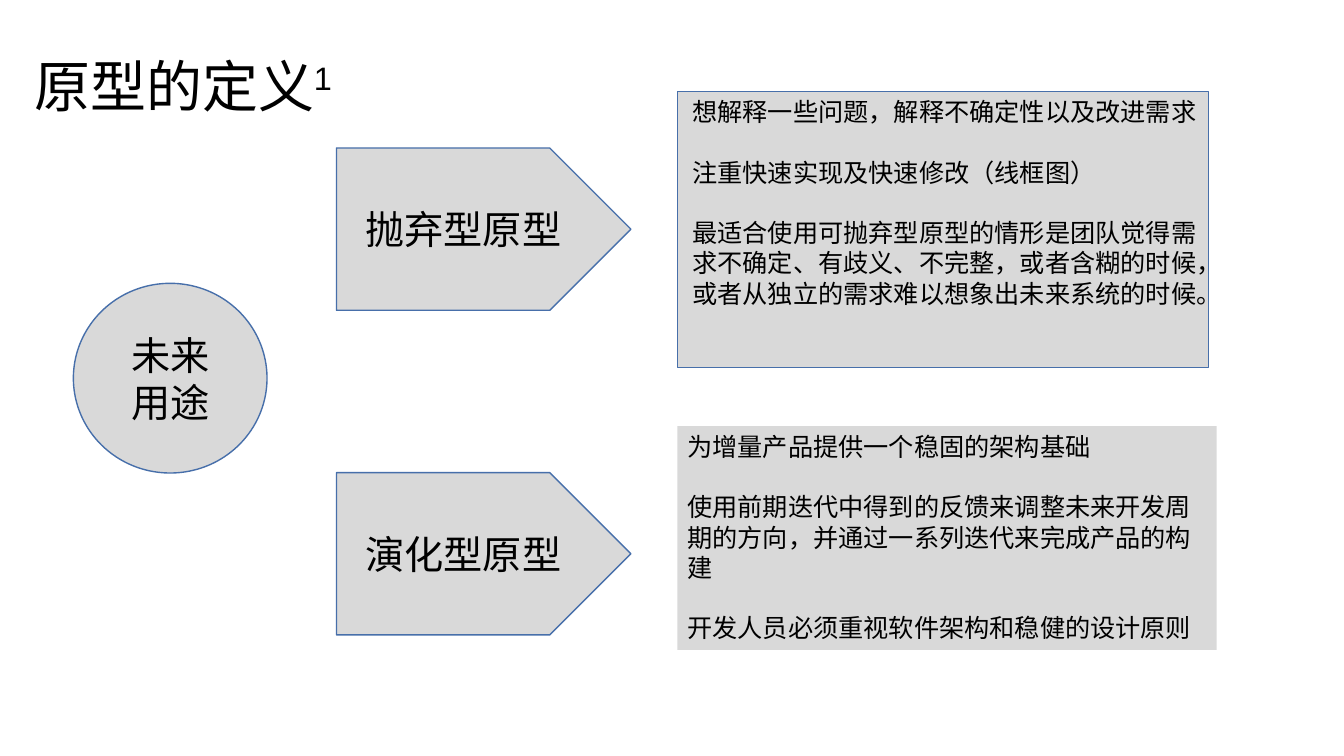
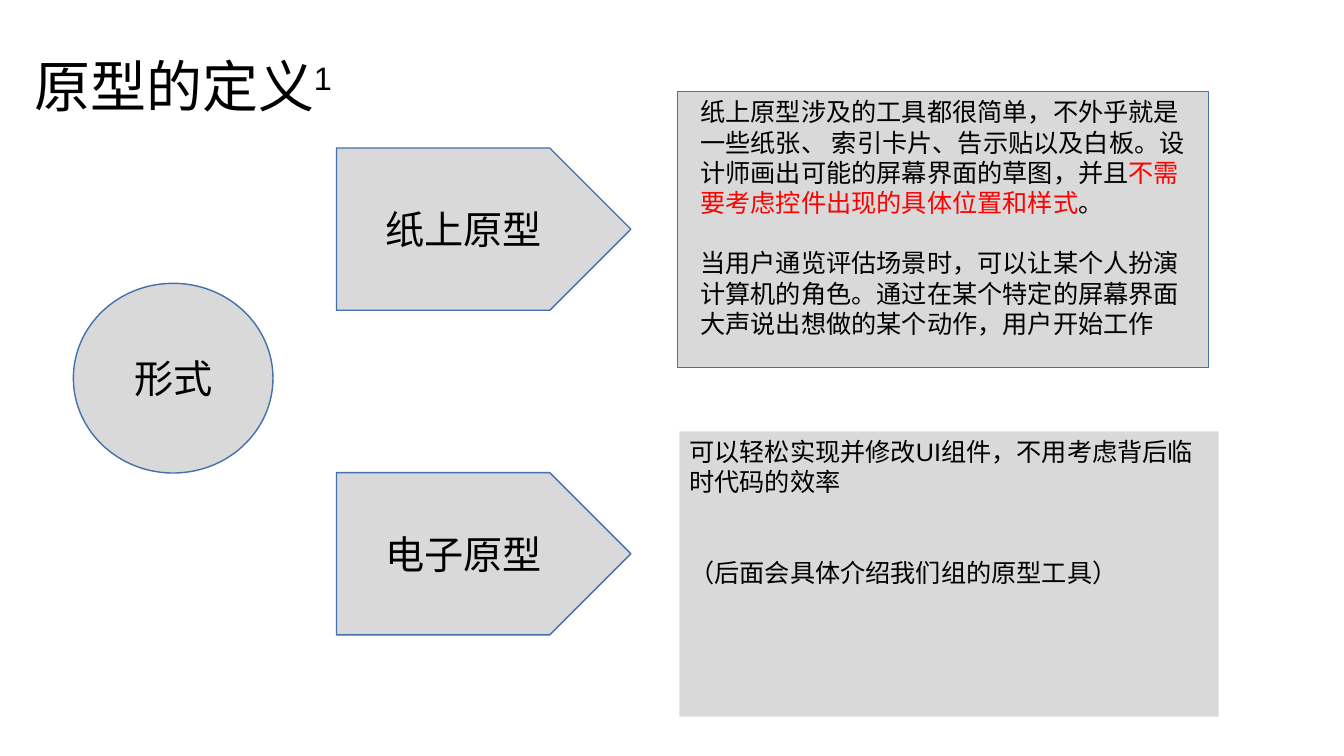
from pptx import Presentation
from pptx.dml.color import RGBColor
from pptx.enum.lang import MSO_LANGUAGE_ID
from pptx.enum.shapes import MSO_SHAPE
from pptx.enum.text import MSO_ANCHOR, PP_ALIGN
from pptx.util import Cm, Pt

# Shared look
GRAY = RGBColor(0xD9, 0xD9, 0xD9)
BLUE = RGBColor(0x47, 0x6F, 0xAA)
BLACK = RGBColor(0x00, 0x00, 0x00)
RED = RGBColor(0xFF, 0x00, 0x00)
FONT = "Arial"
TITLE_SIZE, LABEL_SIZE, BODY_SIZE = Pt(40), Pt(28), Pt(18)
LINE_HEIGHT = 21.6  # points, one line of body text

CHINESE = MSO_LANGUAGE_ID.SIMPLIFIED_CHINESE
TOP, MIDDLE = MSO_ANCHOR.TOP, MSO_ANCHOR.MIDDLE
LEFT, CENTER = PP_ALIGN.LEFT, PP_ALIGN.CENTER
ELLIPSE, PENTAGON, RECTANGLE = MSO_SHAPE.OVAL, MSO_SHAPE.PENTAGON, MSO_SHAPE.RECTANGLE
TITLE_ONLY = 5

# Boxes in centimetres: left, top, width, height
TITLE_BOX = (0.61, 1.17, 9.17, 1.96)
ARROW_BOXES = [(8.48, top, 7.42, 4.09) for top in (3.73, 11.91)]
UPPER_BOX = (17.07, 2.31, 13.39, 6.96)

# Paragraphs are lists of (text, colour) spans
SLIDES = [
    {
        "topic": "未来用途",
        "topic_box": (1.85, 7.14, 4.88, 4.78),
        "arrows": ["抛弃型原型", "演化型原型"],
        "upper": [
            [("想解释一些问题，解释不确定性以及改进需求", BLACK)],
            [("注重快速实现及快速修改（线框图）", BLACK)],
            [("最适合使用可抛弃型原型的情形是团队觉得需求不确定、有歧义、不完整，"
              "或者含糊的时候，或者从独立的需求难以想象出未来系统的时候。", BLACK)],
        ],
        "upper_margins": (0.38, 0.13),
        "lower": [
            [("为增量产品提供一个稳固的架构基础", BLACK)],
            [("使用前期迭代中得到的反馈来调整未来开发周期的方向，"
              "并通过一系列迭代来完成产品的构建", BLACK)],
            [("开发人员必须重视软件架构和稳健的设计原则", BLACK)],
        ],
        "lower_box": (17.07, 10.74, 13.59, 5.64),
        "lower_gap": 1,
    },
    {
        "topic": "形式",
        "topic_box": (1.85, 7.14, 5.03, 4.78),
        "arrows": ["纸上原型", "电子原型"],
        "upper": [
            [("纸上原型涉及的工具都很简单，不外乎就是一些纸张、 索引卡片、告示贴以及白板。"
              "设计师画出可能的屏幕界面的草图，并且", BLACK),
             ("不需要考虑控件出现的具体位置和样式", RED),
             ("。", BLACK)],
            [("当用户通览评估场景时，可以让某个人扮演计算机的角色。"
              "通过在某个特定的屏幕界面大声说出想做的某个动作，用户开始工作", BLACK)],
        ],
        "upper_margins": (0.58, 0.25),
        "lower": [
            [("可以轻松实现并修改UI组件，不用考虑背后临时代码的效率", BLACK)],
            [("（后面会具体介绍我们组的原型工具）", BLACK)],
        ],
        "lower_box": (17.12, 10.87, 13.59, 7.19),
        "lower_gap": 2,
    },
]


def style_para(para, size, align):
    para.alignment = align
    para.font.name = FONT
    para.font.size = size
    para.font.color.rgb = BLACK


def add_span(para, text, color=BLACK):
    span = para.add_run()
    span.text = text
    span.font.language_id = CHINESE
    if color != BLACK:
        span.font.color.rgb = color
    return span


def add_gray_shape(page, kind, box, outlined=True):
    shape = page.shapes.add_shape(kind, *map(Cm, box))
    shape.shadow.inherit = False
    shape.fill.solid()
    shape.fill.fore_color.rgb = GRAY
    if outlined:
        shape.line.color.rgb = BLUE
        shape.line.width = Pt(1)
    else:
        shape.line.fill.background()
    return shape


def add_title(page, box):
    title = page.shapes.title
    title.left, title.top, title.width, title.height = map(Cm, box)
    frame = title.text_frame
    frame.vertical_anchor = TOP
    para = frame.paragraphs[0]
    style_para(para, TITLE_SIZE, LEFT)
    add_span(para, "原型的定义")
    # Superscript number
    number = add_span(para, "1")
    number.font._element.set("baseline", "30000")


def add_label(page, kind, box, text):
    frame = add_gray_shape(page, kind, box).text_frame
    frame.word_wrap = True
    frame.vertical_anchor = MIDDLE
    para = frame.paragraphs[0]
    style_para(para, LABEL_SIZE, CENTER)
    add_span(para, text)


def add_panel(page, box, paragraphs, margins=(0.25, 0.25), gap_lines=1, outlined=True):
    frame = add_gray_shape(page, RECTANGLE, box, outlined).text_frame
    frame.word_wrap = True
    frame.vertical_anchor = TOP
    frame.margin_left, frame.margin_right = map(Cm, margins)
    for index, spans in enumerate(paragraphs):
        para = frame.add_paragraph() if index else frame.paragraphs[0]
        style_para(para, BODY_SIZE, LEFT)
        if index:
            para.space_before = Pt(gap_lines * LINE_HEIGHT)
        for text, color in spans:
            add_span(para, text, color)


def add_definition_slide(deck, content):
    page = deck.slides.add_slide(deck.slide_layouts[TITLE_ONLY])
    add_title(page, TITLE_BOX)
    # Topic and its two branches
    add_label(page, ELLIPSE, content["topic_box"], content["topic"])
    for box, text in zip(ARROW_BOXES, content["arrows"]):
        add_label(page, PENTAGON, box, text)
    # Explanations
    add_panel(page, UPPER_BOX, content["upper"], content["upper_margins"])
    add_panel(page, content["lower_box"], content["lower"],
              gap_lines=content["lower_gap"], outlined=False)


def main():
    deck = Presentation()
    deck.slide_width, deck.slide_height = Cm(33.87), Cm(19.05)
    for content in SLIDES:
        add_definition_slide(deck, content)
    deck.save("out.pptx")


if __name__ == "__main__":
    main()
